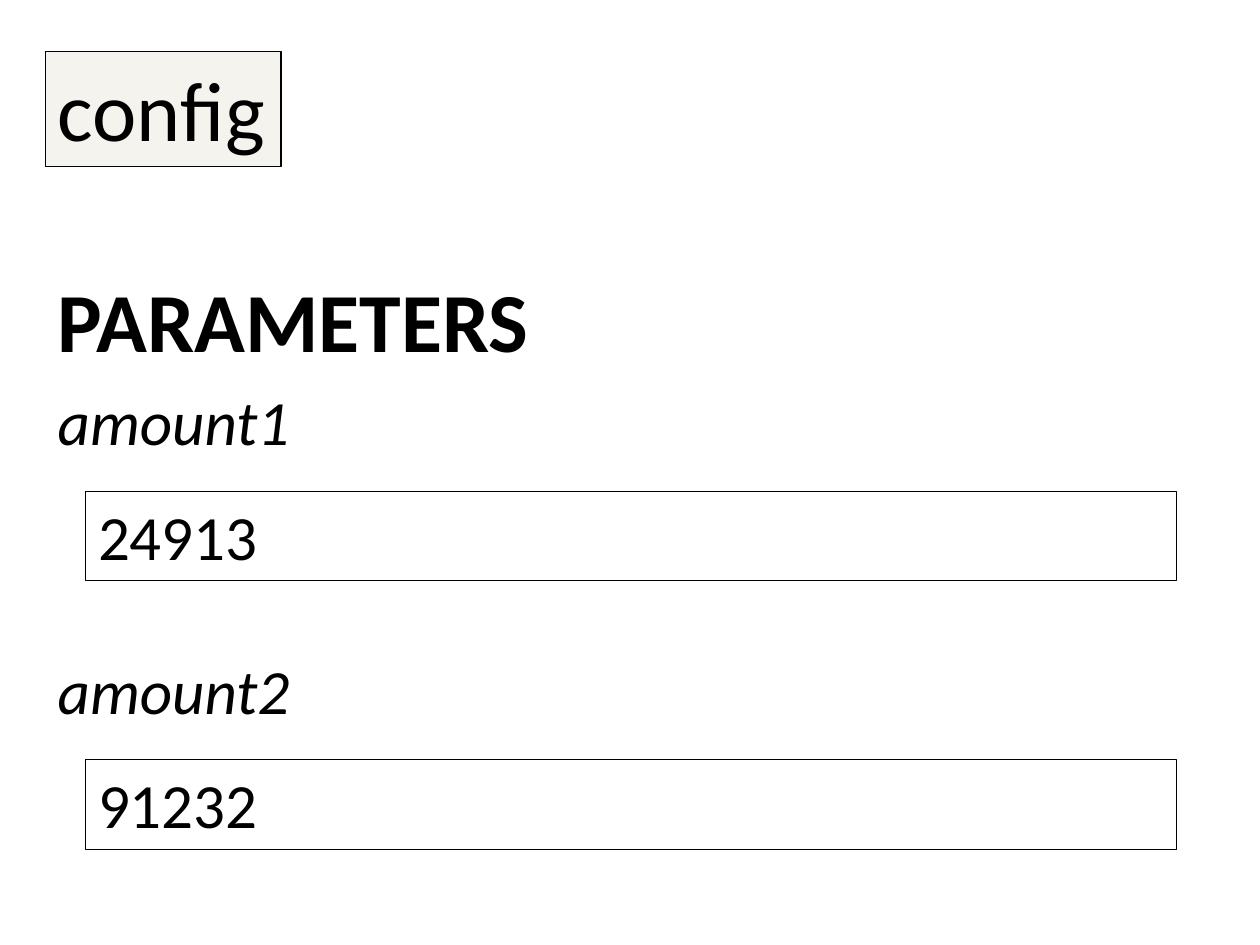
import pptx
import pptx.util
import pptx.dml.color
import pptx.enum.shapes
import pptx.enum.text
import pptx.oxml.ns
import lxml.etree

W, H = 10, 7.5
MARGIN = 0.36
INDENT = 0.32
ROW = 0.71
FIELD_PITCH = 2.13
BLACK = "000000"
FIXED = pptx.enum.text.MSO_AUTO_SIZE.NONE
GROW = pptx.enum.text.MSO_AUTO_SIZE.SHAPE_TO_FIT_TEXT


def rgb(color):
    """Return the colour for a hex string."""
    return pptx.dml.color.RGBColor.from_string(color)


def place(sp, x, y, w, h):
    """Set the box of a shape in inches."""
    sp.left, sp.top, sp.width, sp.height = (pptx.util.Inches(v) for v in (x, y, w, h))


def write(sp, text, size, wrap=False, fit=GROW, bold=False, italic=False):
    """Put one left-aligned line of text into a shape."""
    tf = sp.text_frame
    tf.text = text
    tf.word_wrap = wrap
    tf.auto_size = fit
    tf.vertical_anchor = pptx.enum.text.MSO_ANCHOR.TOP
    p = tf.paragraphs[0]
    p.alignment = pptx.enum.text.PP_ALIGN.LEFT
    p.font.name = "Calibri"
    p.font.size = pptx.util.Pt(size)
    p.font.bold = bold
    p.font.italic = italic
    p.font.color.rgb = rgb(BLACK)


def outline(sp):
    """Give a shape a thin black border."""
    sp.line.color.rgb = rgb(BLACK)
    sp.line.width = pptx.util.Pt(0.75)


def add_label(s, x, y, w, h, text, size, **style):
    """Add a line of plain text."""
    sp = s.shapes.add_textbox(0, 0, 0, 0)
    place(sp, x, y, w, h)
    write(sp, text, size, **style)


def add_title(s, x, y, w, h, text):
    """Format the title as a tinted, bordered tag of fixed size."""
    sp = s.shapes.title
    place(sp, x, y, w, h)
    write(sp, text, 48, wrap=True, fit=FIXED)
    outline(sp)
    sp.fill.solid()
    sp.fill.fore_color.rgb = rgb("EEECE1")
    qn = pptx.oxml.ns.qn
    color = sp.element.spPr.find(qn("a:solidFill")).find(qn("a:srgbClr"))
    lxml.etree.SubElement(color, qn("a:alpha"), val="58000")


def add_field(s, x, y, w, name, value):
    """Add a parameter name with its value box below."""
    add_label(s, x, y, 2.19, ROW, name, 36, italic=True)
    sp = s.shapes.add_shape(pptx.enum.shapes.MSO_SHAPE.RECTANGLE, 0, 0, 0, 0)
    place(sp, x + INDENT, y + 0.91, w - INDENT, ROW)
    sp.shadow.inherit = False
    sp.fill.background()
    outline(sp)
    write(sp, value, 36, wrap=True)


def add_parameters(s, x, y, w, heading, fields):
    """Add the heading and the fields at equal steps under it."""
    add_label(s, x, y, 4.03, 0.91, heading, 48, bold=True)
    for i, (name, value) in enumerate(fields):
        add_field(s, x, y + 0.91 + i * FIELD_PITCH, w, name, value)


prs = pptx.Presentation()
prs.slide_width = pptx.util.Inches(W)
prs.slide_height = pptx.util.Inches(H)
s = prs.slides.add_slide(prs.slide_layouts.get_by_name("Title Only"))
add_title(s, MARGIN, 0.41, 1.87, 0.91, "config")
add_parameters(s, MARGIN, 2.08, 8.98, "PARAMETERS",
               [("amount1", "24913"), ("amount2", "91232")])
prs.save("out.pptx")
